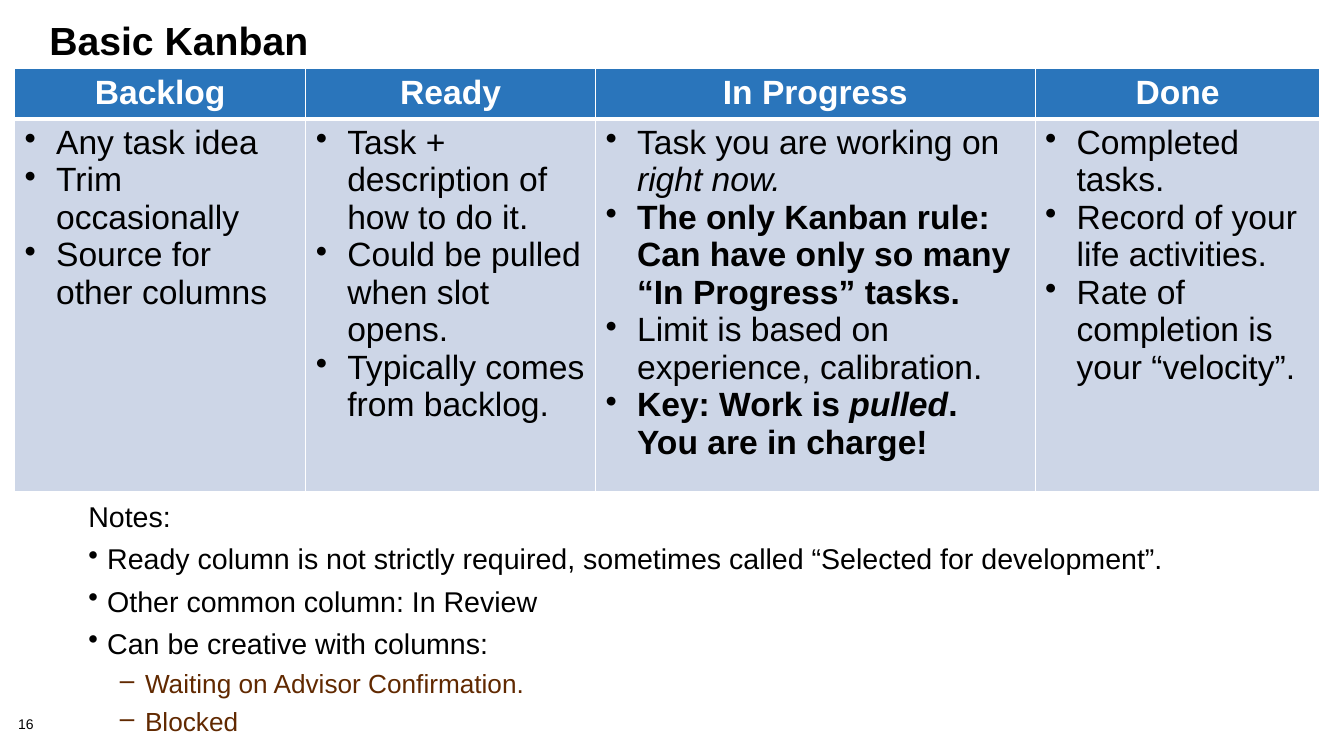
from dataclasses import dataclass
from typing import NamedTuple

import pptx
import pptx.dml.color
import pptx.enum.text
import pptx.oxml
import pptx.oxml.ns
import pptx.util
from pptx.util import Pt


@dataclass(frozen=True)
class Theme:
    font: str = "Arial"
    black: str = "000000"
    white: str = "FFFFFF"
    header_fill: str = "2A75BB"
    body_fill: str = "CDD6E7"
    subnote: str = "612900"
    title_size: float = 28
    table_size: float = 24
    note_size: float = 20.4
    subnote_size: float = 18.7
    number_size: float = 10


class Span(NamedTuple):
    text: str
    bold: bool = False
    italic: bool = False


class Column(NamedTuple):
    heading: str
    width: float
    points: list[list[Span]]


class NoteStyle(NamedTuple):
    bullet: str
    margin: float
    indent: float
    before: float
    size: float
    color: str


class Note(NamedTuple):
    text: str
    style: NoteStyle


THEME = Theme()
INTRO = NoteStyle("", 13.5, 0, 0, THEME.note_size, THEME.black)
NOTE = NoteStyle("•", 27, -13.5, 5.7, THEME.note_size, THEME.black)
SUBNOTE = NoteStyle("–", 54, -18, 4.9, THEME.subnote_size, THEME.subnote)

COLUMNS = [
    Column("Backlog", 208, [
        [Span("Any task idea")],
        [Span("Trim occasionally")],
        [Span("Source for other columns")],
    ]),
    Column("Ready", 207, [
        [Span("Task + description of how to do it.")],
        [Span("Could be pulled when slot opens.")],
        [Span("Typically comes from backlog.")],
    ]),
    Column("In Progress", 314, [
        [Span("Task you are working on "), Span("right now.", italic=True)],
        [Span("The only Kanban rule: Can have only so many “In Progress” tasks.", bold=True)],
        [Span("Limit is based on experience, calibration.")],
        [Span("Key: Work is ", bold=True), Span("pulled", bold=True, italic=True),
         Span(". You are in charge!", bold=True)],
    ]),
    Column("Done", 203.5, [
        [Span("Completed tasks.")],
        [Span("Record of your life activities.")],
        [Span("Rate of completion is your “velocity”.")],
    ]),
]

NOTES = [
    Note("Notes:", INTRO),
    Note("Ready column is not strictly required, sometimes called “Selected for development”.", NOTE),
    Note("Other common column: In Review", NOTE),
    Note("Can be creative with columns:", NOTE),
    Note("Waiting on Advisor Confirmation.", SUBNOTE),
    Note("Blocked", SUBNOTE),
]


def rgb(color: str) -> pptx.dml.color.RGBColor:
    return pptx.dml.color.RGBColor.from_string(color)


def format_font(font, size: float, color: str, bold: bool = False, italic: bool = False) -> None:
    font.name = THEME.font
    font.size = Pt(size)
    font.bold = bold
    font.italic = italic
    font.color.rgb = rgb(color)


def set_bullet(paragraph, bullet: str, margin: float, indent: float) -> None:
    properties = paragraph._p.get_or_add_pPr()
    properties.set("marL", str(Pt(margin)))
    properties.set("indent", str(Pt(indent)))
    if bullet:
        element = pptx.oxml.parse_xml(
            f'<a:buChar {pptx.oxml.ns.nsdecls("a")} char="{bullet}"/>')
        properties.append(element)


def set_borders(cell, bottom: float) -> None:
    properties = cell._tc.get_or_add_tcPr()
    for side, width in (("L", 1), ("R", 1), ("T", 1), ("B", bottom)):
        properties.append(pptx.oxml.parse_xml(
            f'<a:ln{side} {pptx.oxml.ns.nsdecls("a")} w="{Pt(width)}"><a:solidFill>'
            f'<a:srgbClr val="{THEME.white}"/></a:solidFill></a:ln{side}>'))


def fill_cell(cell, color: str, bottom: float = 1) -> None:
    set_borders(cell, bottom)
    cell.fill.solid()
    cell.fill.fore_color.rgb = rgb(color)


def add_title(slide, text: str) -> None:
    title = slide.shapes.title
    title.left, title.top, title.width, title.height = Pt(28), Pt(11), Pt(896), Pt(40)
    frame = title.text_frame
    frame.text = text
    frame.auto_size = pptx.enum.text.MSO_AUTO_SIZE.NONE
    frame.vertical_anchor = pptx.enum.text.MSO_ANCHOR.MIDDLE
    paragraph = frame.paragraphs[0]
    paragraph.alignment = pptx.enum.text.PP_ALIGN.LEFT
    paragraph.line_spacing = 0.85
    format_font(paragraph.runs[0].font, THEME.title_size, THEME.black, bold=True)


def add_board(slide, columns: list[Column]) -> None:
    width = sum(column.width for column in columns)
    board = slide.shapes.add_table(
        2, len(columns), Pt(10.4), Pt(49), Pt(width), Pt(280.6)).table
    board.rows[0].height, board.rows[1].height = Pt(33.6), Pt(247)
    for index, column in enumerate(columns):
        board.columns[index].width = Pt(column.width)

        heading = board.cell(0, index)
        fill_cell(heading, THEME.header_fill, bottom=3)
        heading.text_frame.text = column.heading
        paragraph = heading.text_frame.paragraphs[0]
        paragraph.alignment = pptx.enum.text.PP_ALIGN.CENTER
        format_font(paragraph.runs[0].font, THEME.table_size, THEME.white, bold=True)

        body = board.cell(1, index)
        fill_cell(body, THEME.body_fill)
        for row, spans in enumerate(column.points):
            frame = body.text_frame
            paragraph = frame.add_paragraph() if row else frame.paragraphs[0]
            set_bullet(paragraph, "•", 22.5, -22.5)
            for span in spans:
                run = paragraph.add_run()
                run.text = span.text
                format_font(run.font, THEME.table_size, THEME.black, span.bold, span.italic)


def add_notes(slide, notes: list[Note]) -> None:
    frame = slide.shapes.add_textbox(Pt(42.5), Pt(353), Pt(805), Pt(167)).text_frame
    frame.word_wrap = True
    for index, (text, style) in enumerate(notes):
        paragraph = frame.add_paragraph() if index else frame.paragraphs[0]
        paragraph.text = text
        paragraph.level = 1 if style is SUBNOTE else 0
        if index:
            paragraph.space_before = Pt(style.before)
        set_bullet(paragraph, style.bullet, style.margin, style.indent)
        format_font(paragraph.runs[0].font, style.size, style.color)


def add_page_number(slide, number: str) -> None:
    frame = slide.shapes.add_textbox(Pt(13), Pt(512.6), Pt(40), Pt(11.5)).text_frame
    frame.margin_left = frame.margin_right = frame.margin_top = frame.margin_bottom = 0
    frame.word_wrap = True
    frame.text = number
    frame.paragraphs[0].line_spacing = 0.9
    format_font(frame.paragraphs[0].runs[0].font, THEME.number_size, THEME.black)


def main() -> None:
    presentation = pptx.Presentation()
    presentation.slide_width, presentation.slide_height = Pt(960), Pt(540)
    slide = presentation.slides.add_slide(presentation.slide_layouts[5])
    add_page_number(slide, "16")
    add_title(slide, "Basic Kanban")
    add_board(slide, COLUMNS)
    add_notes(slide, NOTES)
    presentation.save("out.pptx")


if __name__ == "__main__":
    main()
